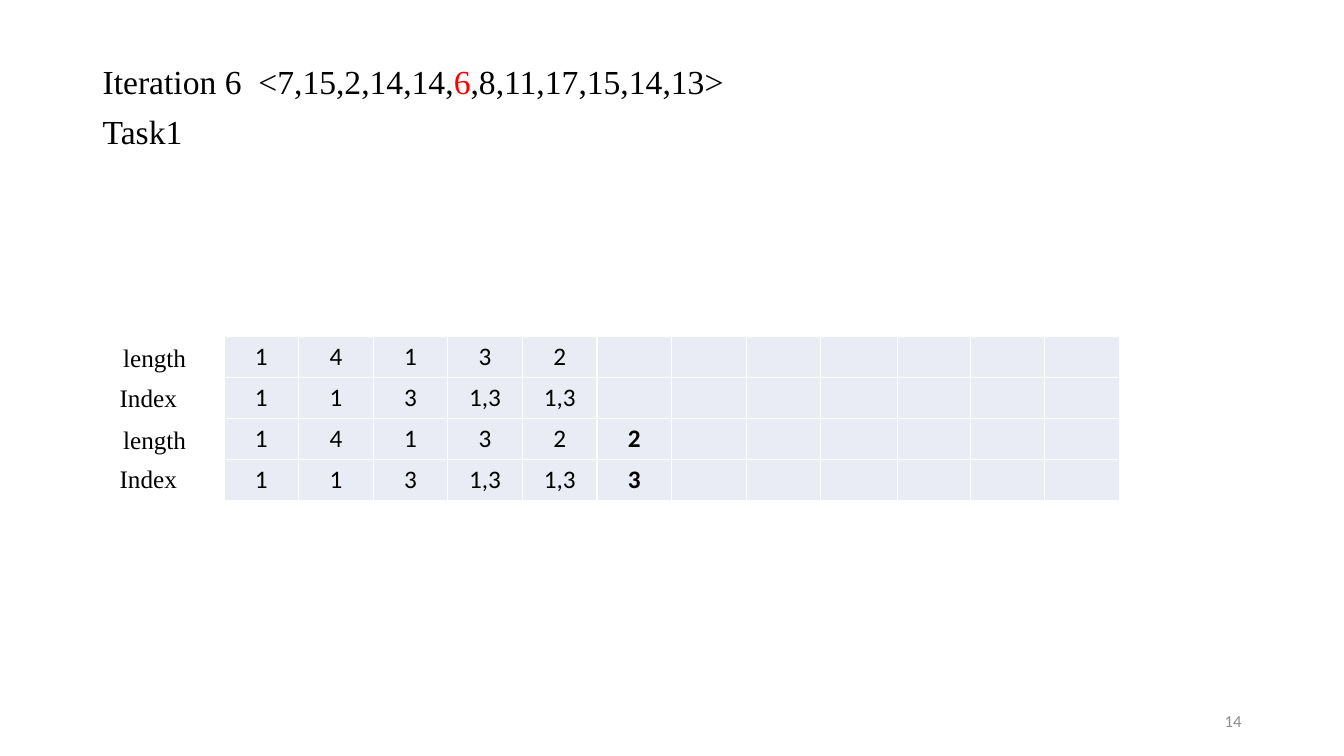
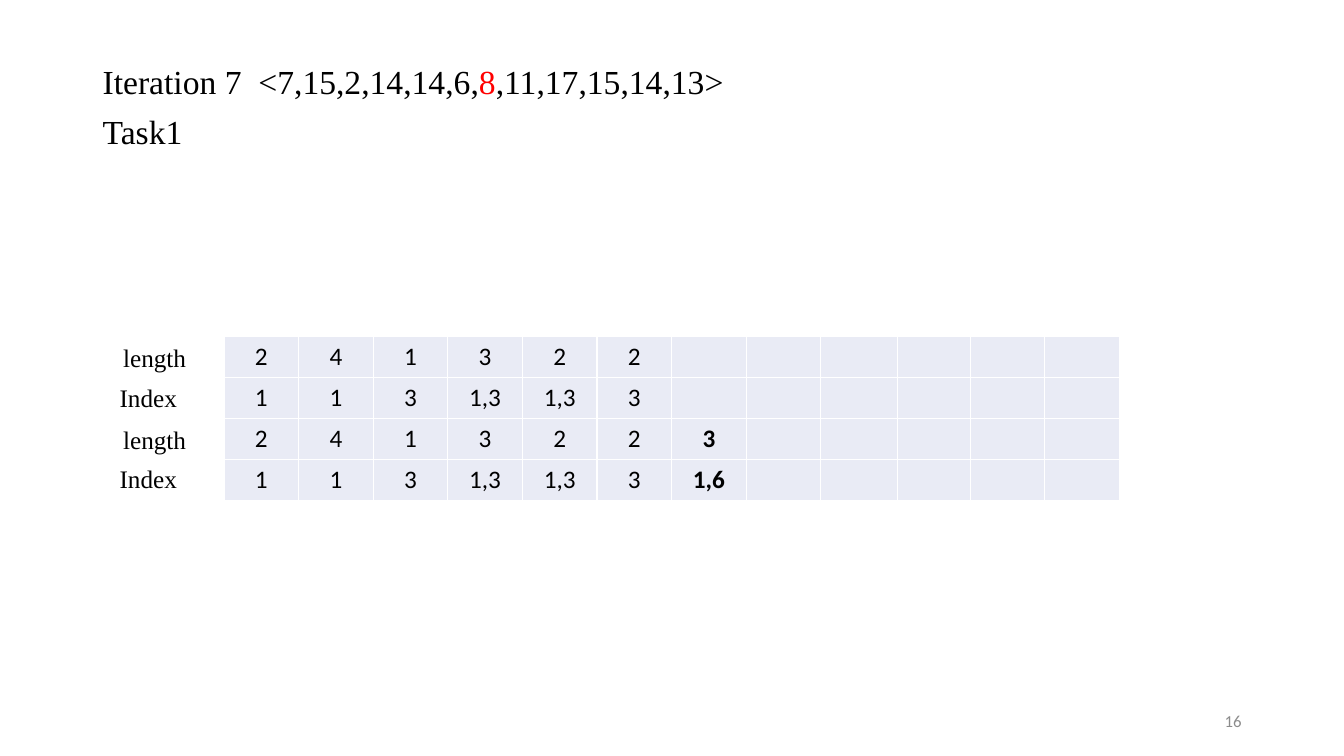
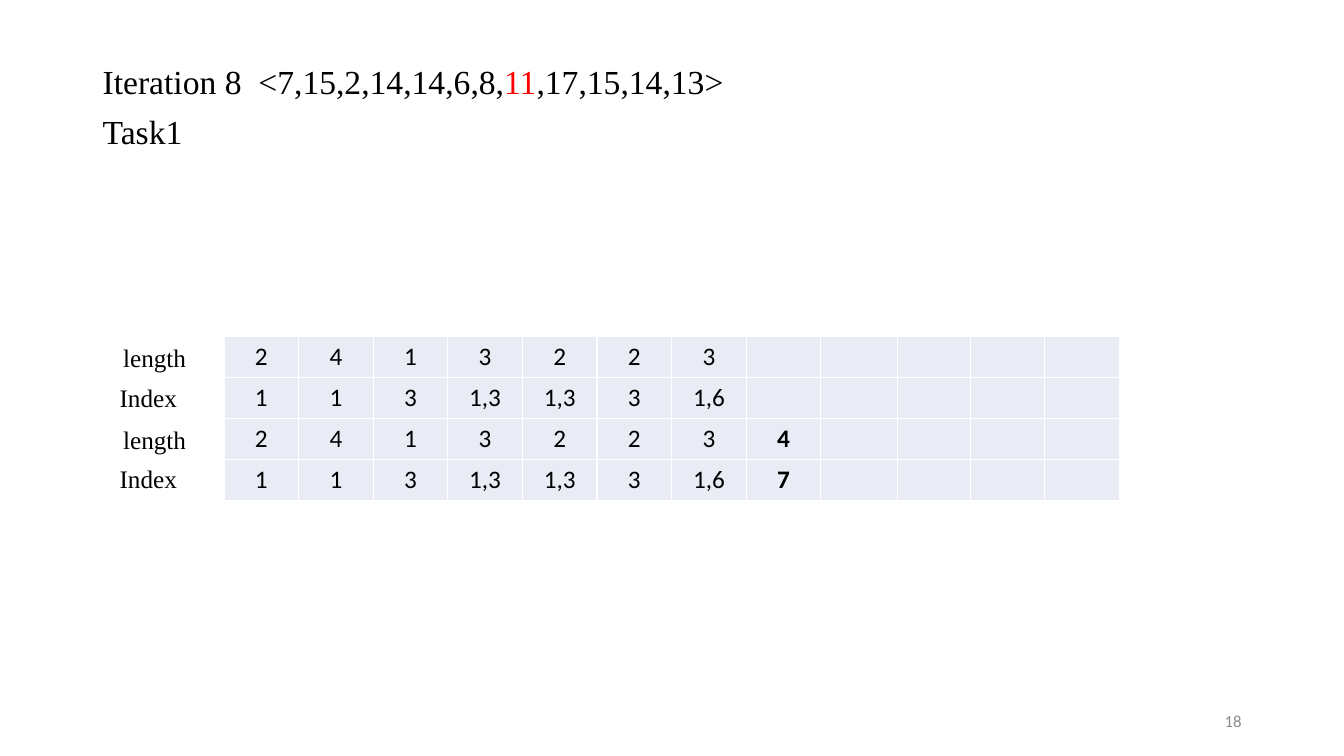
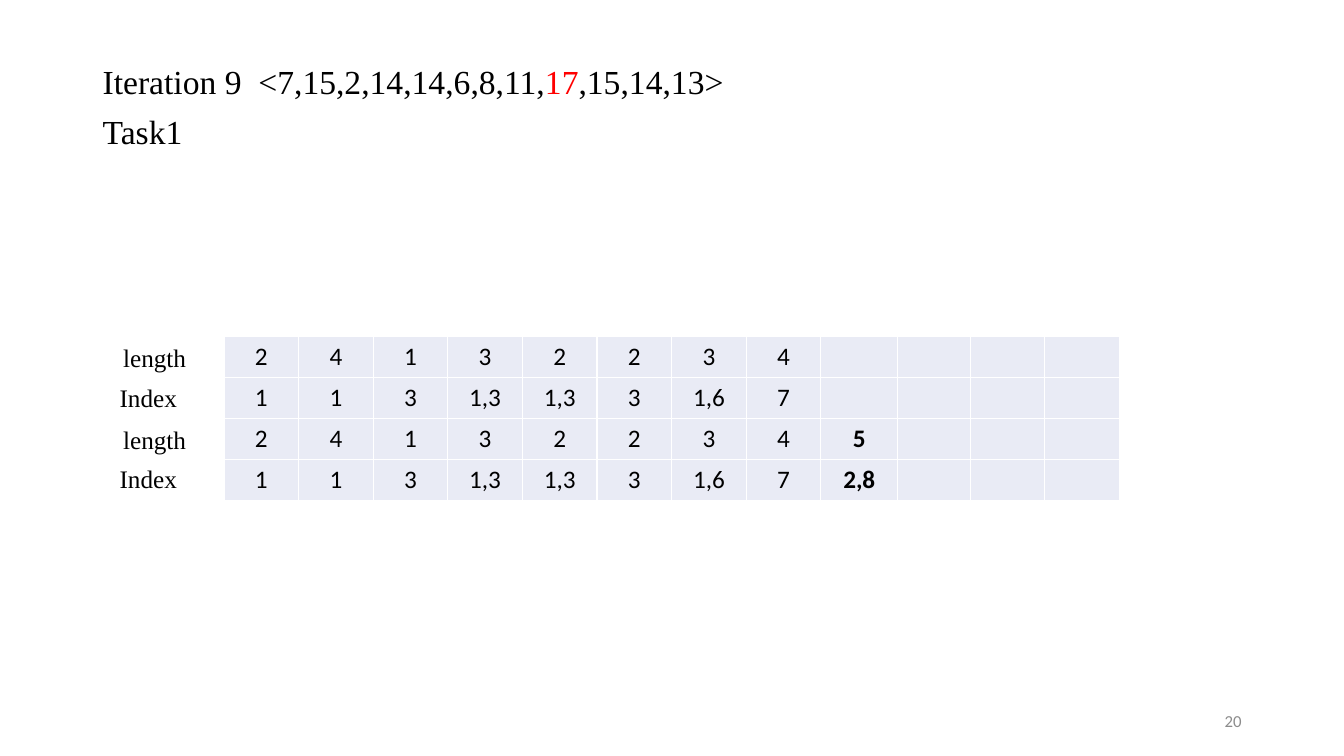
from dataclasses import dataclass

from lxml import etree
from pptx import Presentation
from pptx import util as u
from pptx.dml import color
from pptx.enum import text
from pptx.oxml import ns


@dataclass(frozen=True)
class Theme:
    ink: str = "000000"
    accent: str = "FF0000"
    muted: str = "8C8C8C"
    cell: str = "E9EBF5"
    rule: str = "FFFFFF"
    serif: str = "Times New Roman"
    sans: str = "Calibri"
    title_size: float = 24
    body_size: float = 18
    footer_size: float = 12
    rule_width: float = 1
    inset: float = 7.2


SEQUENCE = [7, 15, 2, 14, 14, 6, 8, 11, 17, 15, 14, 13]
LENGTHS = ["2", "4", "1", "3", "2", "2", "3", "4", "5"]
INDEXES = ["1", "1", "3", "1,3", "1,3", "3", "1,6", "7", "2,8"]
FIRST_LENGTHS = {6: "1"}
COLUMN_WIDTHS = [53.3] * 8 + [54.9, 51.8] + [53.3] * 2
ROW_HEIGHT = 29.2
TABLE_LEFT = 160
TABLE_TOP = 240.5
LABEL_LEFT = 60.5
LABEL_WIDTH = 100
INDEX_SHIFT = 9


class Deck:
    def __init__(self, presentation, theme):
        self.presentation = presentation
        self.theme = theme
        self.slide = None

    def add_slide(self):
        self.slide = self.presentation.slides.add_slide(self.presentation.slide_layouts[6])

    def run(self, paragraph, words, font_name, size, fill, bold=False):
        run = paragraph.add_run()
        run.text = words
        run.font.name = font_name
        run.font.size = u.Pt(size)
        run.font.bold = bold
        run.font.color.rgb = color.RGBColor.from_string(fill)

    def box(self, left, top, width, height):
        shape = self.slide.shapes.add_textbox(u.Pt(left), u.Pt(top), u.Pt(width), u.Pt(height))
        shape.text_frame.word_wrap = True
        return shape.text_frame

    def title(self, iteration):
        theme = self.theme
        frame = self.box(66.25, 43.2, 828, 82.8)
        before = "".join(f"{value}," for value in SEQUENCE[:iteration - 1])
        after = "".join(f",{value}" for value in SEQUENCE[iteration:])
        heading, task = frame.paragraphs[0], frame.add_paragraph()
        for paragraph in (heading, task):
            paragraph.line_spacing = 0.9
        task.space_before = u.Pt(10)
        for paragraph, words, fill in (
            (heading, f"Iteration {iteration}  <{before}", theme.ink),
            (heading, str(SEQUENCE[iteration - 1]), theme.accent),
            (heading, f"{after}>", theme.ink),
            (task, "Task1", theme.ink),
        ):
            self.run(paragraph, words, theme.serif, theme.title_size, fill)

    def page_number(self, number):
        theme = self.theme
        frame = self.box(678, 500.5, 216, 28.75)
        frame.vertical_anchor = text.MSO_ANCHOR.MIDDLE
        paragraph = frame.paragraphs[0]
        paragraph.alignment = text.PP_ALIGN.RIGHT
        self.run(paragraph, str(number), theme.sans, theme.footer_size, theme.muted)

    def label(self, words, top, shift=0):
        theme = self.theme
        frame = self.box(LABEL_LEFT, top, LABEL_WIDTH, 29)
        frame.margin_right = u.Pt(theme.inset + shift)
        paragraph = frame.paragraphs[0]
        paragraph.alignment = text.PP_ALIGN.CENTER
        self.run(paragraph, words, theme.serif, theme.body_size, theme.ink)

    def borders(self, cell):
        properties = cell._tc.get_or_add_tcPr()
        for side in ("lnL", "lnR", "lnT", "lnB"):
            line = etree.SubElement(properties, ns.qn(f"a:{side}"), w=str(u.Pt(self.theme.rule_width)))
            fill = etree.SubElement(line, ns.qn("a:solidFill"))
            etree.SubElement(fill, ns.qn("a:srgbClr"), val=self.theme.rule)

    def cell(self, cell, words, bold):
        theme = self.theme
        self.borders(cell)
        cell.fill.solid()
        cell.fill.fore_color.rgb = color.RGBColor.from_string(theme.cell)
        paragraph = cell.text_frame.paragraphs[0]
        paragraph.alignment = text.PP_ALIGN.CENTER
        if words:
            self.run(paragraph, words, theme.sans, theme.body_size, theme.ink, bold)

    def table(self, top, rows, bold_column=None):
        table = self.slide.shapes.add_table(
            len(rows), len(COLUMN_WIDTHS), u.Pt(TABLE_LEFT), u.Pt(top),
            u.Pt(sum(COLUMN_WIDTHS)), u.Pt(ROW_HEIGHT * len(rows)),
        ).table
        table.first_row = False
        table.horz_banding = False
        for column, width in zip(table.columns, COLUMN_WIDTHS):
            column.width = u.Pt(width)
        for row_number, values in enumerate(rows):
            table.rows[row_number].height = u.Pt(ROW_HEIGHT)
            for column_number in range(len(COLUMN_WIDTHS)):
                words = values[column_number] if column_number < len(values) else ""
                self.cell(table.cell(row_number, column_number), words, column_number == bold_column)
        self.label("length", top + 0.3)
        self.label("Index", top + 28.8, INDEX_SHIFT)

    def iteration(self, number):
        self.add_slide()
        self.title(number)
        self.page_number(2 * number + 2)
        lengths = [FIRST_LENGTHS.get(number, LENGTHS[0])] + LENGTHS[1:]
        self.table(TABLE_TOP, [lengths[:number - 1], INDEXES[:number - 1]])
        self.table(TABLE_TOP + 2 * ROW_HEIGHT, [lengths[:number], INDEXES[:number]], number - 1)


def main():
    presentation = Presentation()
    presentation.slide_width = u.Pt(960)
    presentation.slide_height = u.Pt(540)
    deck = Deck(presentation, Theme())
    for number in range(6, 10):
        deck.iteration(number)
    presentation.save("out.pptx")


if __name__ == "__main__":
    main()
